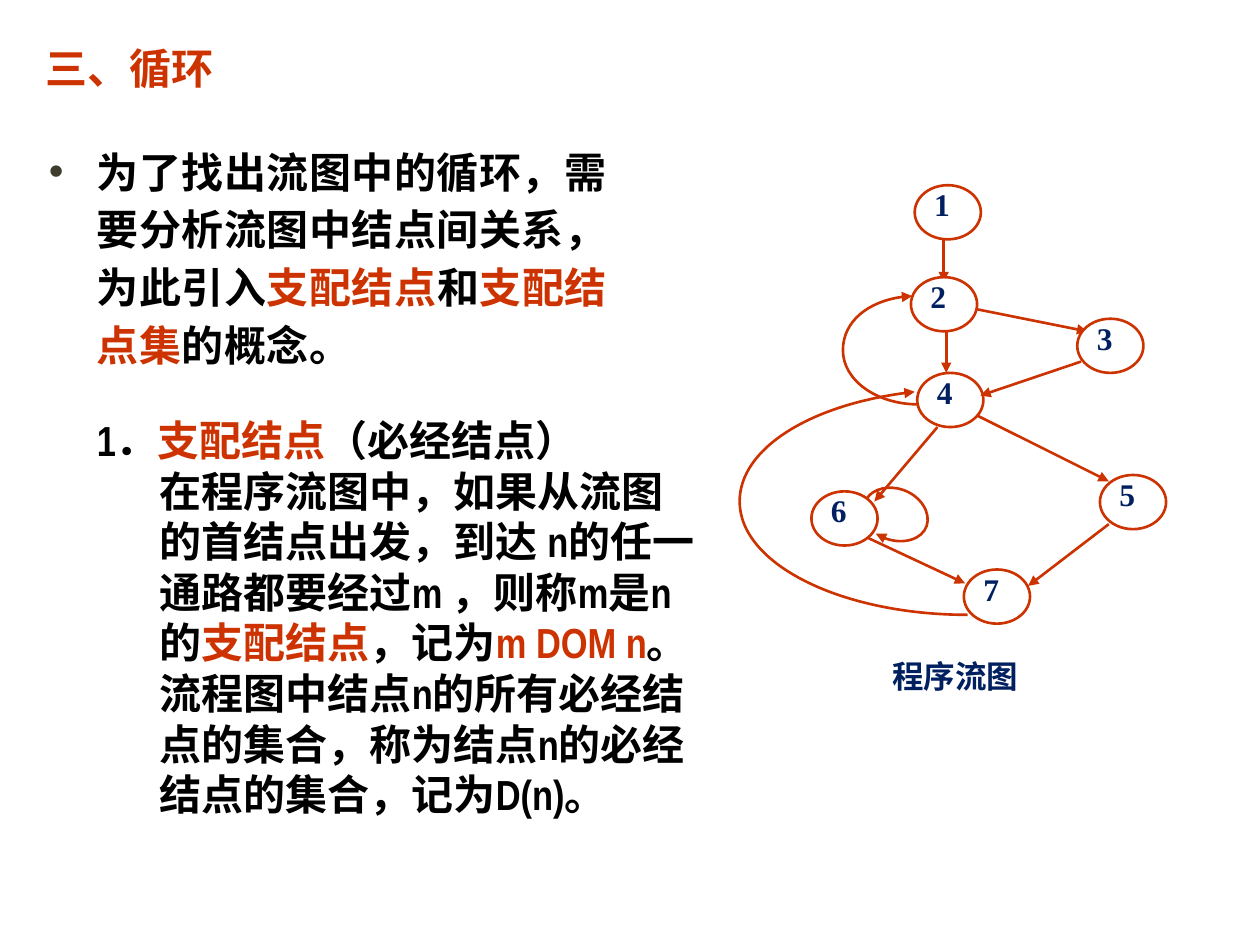
from lxml import etree
from pptx import Presentation
from pptx import util as u
from pptx.dml.color import RGBColor
from pptx.enum import shapes, text
from pptx.oxml.ns import qn

COLORS = {"accent": "CC3300", "ink": "000000", "label": "002060",
          "bullet": "3E3D2D", "paper": "FFFFFF"}
CJK, NARROW, SERIF = "Noto Sans CJK SC", "Arial Narrow", "Times New Roman"

deck = Presentation()
deck.slide_width, deck.slide_height = u.Inches(10), u.Inches(7.5)
COL, ROW = deck.slide_width / 100, deck.slide_height / 75
slide = deck.slides.add_slide(deck.slide_layouts[6])
canvas = slide.shapes


def write(box, paragraphs, size, font, inset=0.1):
    frame = box.text_frame
    frame.word_wrap = True
    frame.vertical_anchor = text.MSO_ANCHOR.TOP
    frame.margin_left = frame.margin_right = u.Inches(inset)
    frame.margin_top = frame.margin_bottom = u.Inches(inset / 2)
    for index, (spacing, runs) in enumerate(paragraphs):
        paragraph = frame.paragraphs[0] if index == 0 else frame.add_paragraph()
        paragraph.line_spacing = u.Pt(spacing) if spacing else None
        for words, color in runs:
            run = paragraph.add_run()
            run.text = words
            run.font.size, run.font.bold, run.font.name = u.Pt(size), True, font
            run.font.color.rgb = RGBColor.from_string(COLORS[color])
            etree.SubElement(run.font._element, qn("a:ea")).set("typeface", CJK)
    return frame.paragraphs


def style_arrow(edge, end="a:tailEnd"):
    edge.line.color.rgb = RGBColor.from_string(COLORS["accent"])
    edge.line.width = u.Pt(1.5)
    etree.SubElement(edge.line._get_or_add_ln(), qn(end)).set("type", "triangle")
    etree.SubElement(edge._element.spPr, qn("a:effectLst"))


intro_box = canvas.add_textbox(*map(int, (2.9 * COL, 10.5 * ROW, 48 * COL, 20.6 * ROW)))
intro = write(intro_box, [(33.1, [
    ("为了找出流图中的循环，需要分析流图中结点间关系，为此引入", "ink"),
    ("支配结点", "accent"), ("和", "ink"), ("支配结点集", "accent"),
    ("的概念。", "ink")])], 24, CJK)[0]
intro_props = intro._p.get_or_add_pPr()
intro_props.set("marL", str(u.Inches(0.38)))
intro_props.set("indent", str(-u.Inches(0.38)))
bullet_color = etree.SubElement(intro_props, qn("a:buClr"))
etree.SubElement(bullet_color, qn("a:srgbClr")).set("val", COLORS["bullet"])
etree.SubElement(intro_props, qn("a:buFont")).set("typeface", "Arial")
etree.SubElement(intro_props, qn("a:buChar")).set("char", "•")
for run in intro.runs:
    run.font._element.set("spc", "30")

nodes = [("1", 72.6, 14.7), ("2", 72.3, 22), ("3", 85.5, 25.3), ("4", 72.8, 29.6),
         ("5", 87.3, 37.7), ("6", 64.4, 39), ("7", 76.5, 45.2)]
edges_behind = [(74.9, 19, 74.9, 22.4), (77.3, 24.5, 86.3, 26.3)]
edges_in_front = [(75.1, 26.3, 75.1, 29.6), (85.8, 28.7, 77.8, 31.4),
                  (74.4, 33.9, 69.4, 39.8), (77.6, 33, 88, 38.2),
                  (88, 41.6, 81.6, 46.5), (68.9, 42.7, 76.6, 46.3)]

for edges, drawn_nodes in ((edges_behind, nodes), (edges_in_front, [])):
    for x1, y1, x2, y2 in edges:
        style_arrow(canvas.add_connector(shapes.MSO_CONNECTOR.STRAIGHT, *map(
            int, (x1 * COL, y1 * ROW, x2 * COL, y2 * ROW))))
    for number, left, top in drawn_nodes:
        node = canvas.add_shape(shapes.MSO_SHAPE.OVAL, *map(
            int, (left * COL, top * ROW, 5.25 * COL, 4.3 * ROW)))
        node.shadow.inherit = False
        node.fill.solid()
        node.fill.fore_color.rgb = RGBColor.from_string(COLORS["paper"])
        node.line.color.rgb = RGBColor.from_string(COLORS["accent"])
        node.line.width = u.Pt(1.5)
        number_box = canvas.add_textbox(*map(
            int, ((left + 1.55) * COL, top * ROW, 2.4 * COL, 3.8 * ROW)))
        write(number_box, [(None, [(number, "label")])], 18, SERIF, 0)

back_edges = [
    ("a:tailEnd", 0, [(72.9, 32.1), (69.6, 32.1), (66.9, 30.2), (66.9, 27.8),
                      (66.9, 25.5), (69.3, 23.6), (72.4, 23.5)]),
    ("a:headEnd", 19.3, [(70.1, 42.8), (70.5, 42.9), (70.8, 42.9), (71, 42.9),
                         (72.5, 42.9), (73.7, 42), (73.7, 40.9),
                         (73.7, 39.8), (72.5, 38.8), (71, 38.8),
                         (69.8, 38.8), (68.7, 39.5), (68.5, 40.4)]),
    ("a:tailEnd", 0, [(76.8, 48.8), (66.8, 48.8), (58.7, 44.8), (58.7, 39.8),
                      (58.7, 35.7), (64.4, 32), (72.6, 31.1)]),
]
for end, rotation, controls in back_edges:
    trail = [(int(x * COL), int(y * ROW)) for x, y in controls]
    builder = canvas.build_freeform(*trail[0])
    builder.add_line_segments(trail[1:], close=False)
    back_edge = builder.convert_to_shape()
    outline = back_edge._element.spPr.find(".//" + qn("a:path"))
    segments = outline.findall(qn("a:lnTo"))
    for start in range(0, len(segments), 3):
        curve = etree.SubElement(outline, qn("a:cubicBezTo"))
        for segment in segments[start:start + 3]:
            curve.append(segment[0])
            outline.remove(segment)
    back_edge.rotation = rotation
    back_edge.fill.background()
    style_arrow(back_edge, end)

caption_box = canvas.add_shape(shapes.MSO_SHAPE.RECTANGLE, *map(
    int, (62.6 * COL, 52.1 * ROW, 26.4 * COL, 3.6 * ROW)))
caption_box.shadow.inherit = False
caption_box.fill.solid()
caption_box.fill.fore_color.rgb = RGBColor.from_string(COLORS["paper"])
caption_box.line.fill.background()
caption = write(caption_box, [(21.7, [("程序流图", "label")])], 18, SERIF, 0)[0]
caption.alignment = text.PP_ALIGN.CENTER

definition_box = canvas.add_textbox(*map(int, (6.7 * COL, 31.8 * ROW, 50 * COL, 33.9 * ROW)))
definition = write(definition_box, [
    (33.1, [("1．", "ink"), ("支配结点", "accent"), ("（必经结点）", "ink")]),
    (28.9, [("在程序流图中，如果从流图的首结点出发，到达 n的任一通路都要经过m ，则称m是n的", "ink"),
            ("支配结点", "accent"), ("，记为", "ink"), ("m DOM n", "accent"), ("。", "ink")]),
    (28.9, [("流程图中结点n的所有必经结点的集合，称为结点n的必经结点的集合，记为D(n)。", "ink")]),
], 24, NARROW)
for paragraph in definition[1:]:
    paragraph.level = 1
    paragraph._p.get_or_add_pPr().set("marL", str(u.Inches(0.5)))
    paragraph._p.get_or_add_pPr().set("indent", "0")

title_box = canvas.add_textbox(*map(int, (2.6 * COL, 2.9 * ROW, 89.9 * COL, 5 * ROW)))
write(title_box, [(28.9, [("三、循环", "accent")])], 24, CJK)

deck.save("out.pptx")
